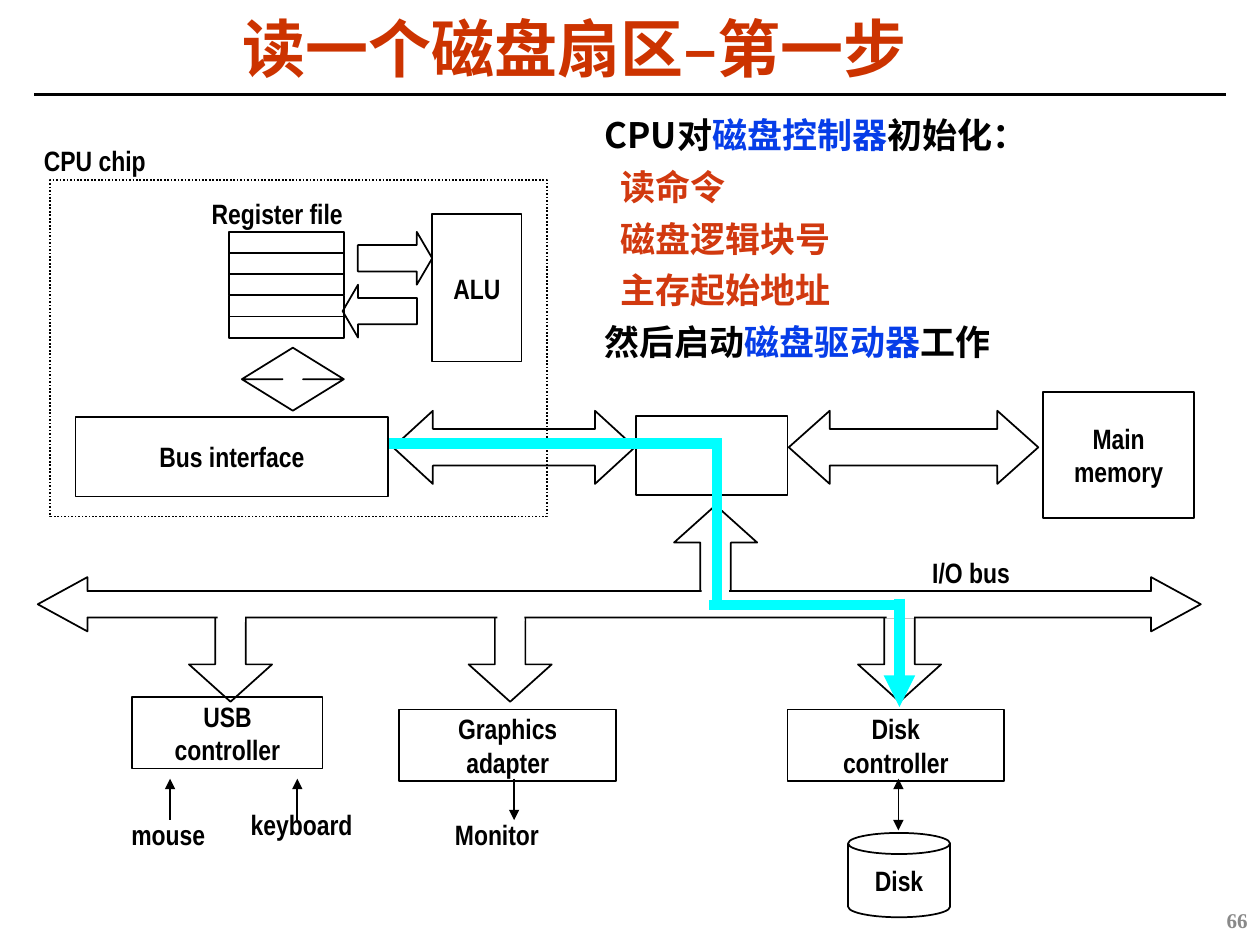
from dataclasses import dataclass
from typing import Optional

import pptx
import pptx.dml.color
import pptx.enum.dml
import pptx.enum.shapes
import pptx.enum.text
import pptx.oxml.ns
import pptx.util
from lxml import etree

Pt = pptx.util.Pt
Preset = pptx.enum.shapes.MSO_SHAPE
Align = pptx.enum.text.PP_ALIGN
Anchor = pptx.enum.text.MSO_ANCHOR
qn = pptx.oxml.ns.qn


@dataclass(frozen=True)
class Theme:
    black: str = "000000"
    white: str = "FFFFFF"
    title_red: str = "CC3300"
    command_red: str = "D1390F"
    device_blue: str = "063DE8"
    signal: str = "00FFFF"
    page_grey: str = "898989"
    label_font: str = "Arial Narrow"
    chinese_font: str = "Noto Sans CJK SC"
    page_font: str = "Times New Roman"
    title_size: float = 36
    note_size: float = 20
    label_size: float = 16
    page_size: float = 12
    outline: float = 1
    rule: float = 1.5
    signal_width: float = 6


THEME = Theme()


@dataclass(frozen=True)
class Box:
    left: float
    top: float
    width: float
    height: float
    text: str = ""
    preset: Preset = Preset.RECTANGLE
    adjustments: tuple[float, ...] = ()
    fill: Optional[str] = None
    line: Optional[str] = THEME.black
    dotted: bool = False


@dataclass(frozen=True)
class Label:
    left: float
    top: float
    width: float
    text: str
    align: Align = Align.CENTER


@dataclass(frozen=True)
class Line:
    x1: float
    y1: float
    x2: float
    y2: float
    head: bool = False
    tail: bool = False
    color: str = THEME.black
    width: float = THEME.outline


def rgb(value: str) -> pptx.dml.color.RGBColor:
    return pptx.dml.color.RGBColor.from_string(value)


def style(paragraph, face: str, size: float, color: str, align: Align) -> None:
    paragraph.alignment = align
    font = paragraph.font
    font.name, font.size, font.bold = face, Pt(size), True
    font.color.rgb = rgb(color)
    defaults = paragraph._p.pPr.find(qn("a:defRPr"))
    etree.SubElement(defaults, qn("a:ea")).set("typeface", face)


def write_lines(frame, text: str, align: Align) -> None:
    frame.word_wrap = False
    frame.vertical_anchor = Anchor.MIDDLE
    frame.text = text
    for paragraph in frame.paragraphs:
        style(paragraph, THEME.label_font, THEME.label_size, THEME.black, align)


def draw_box(slide, box: Box) -> None:
    shape = slide.shapes.add_shape(
        box.preset, Pt(box.left), Pt(box.top), Pt(box.width), Pt(box.height))
    shape.shadow.inherit = False
    for index, value in enumerate(box.adjustments):
        shape.adjustments[index] = value
    if box.fill:
        shape.fill.solid()
        shape.fill.fore_color.rgb = rgb(box.fill)
    else:
        shape.fill.background()
    if box.line:
        shape.line.color.rgb = rgb(box.line)
        shape.line.width = Pt(THEME.outline)
    else:
        shape.line.fill.background()
    if box.dotted:
        shape.line.dash_style = pptx.enum.dml.MSO_LINE.ROUND_DOT
    if box.text:
        write_lines(shape.text_frame, box.text, Align.CENTER)


def draw_label(slide, label: Label) -> None:
    area = slide.shapes.add_textbox(
        Pt(label.left), Pt(label.top), Pt(label.width), Pt(26.6))
    write_lines(area.text_frame, label.text, label.align)


def draw_line(slide, line: Line) -> None:
    connector = slide.shapes.add_connector(
        pptx.enum.shapes.MSO_CONNECTOR.STRAIGHT,
        Pt(line.x1), Pt(line.y1), Pt(line.x2), Pt(line.y2))
    connector.line.color.rgb = rgb(line.color)
    connector.line.width = Pt(line.width)
    properties = connector._element.spPr
    outline = properties.find(qn("a:ln"))
    for tag, wanted in (("a:headEnd", line.head), ("a:tailEnd", line.tail)):
        if wanted:
            etree.SubElement(outline, qn(tag)).set("type", "triangle")
    etree.SubElement(properties, qn("a:effectLst"))


def draw_heading(slide, box: Box, face: str, size: float, color: str,
                 align: Align, spacing: float = 1) -> None:
    frame = slide.shapes.add_textbox(
        Pt(box.left), Pt(box.top), Pt(box.width), Pt(box.height)).text_frame
    frame.word_wrap = True
    frame.vertical_anchor = Anchor.MIDDLE
    frame.text = box.text
    frame.paragraphs[0].line_spacing = spacing
    style(frame.paragraphs[0], face, size, color, align)


def draw_notes(slide) -> None:
    black, blue, red = THEME.black, THEME.device_blue, THEME.command_red
    notes = [
        (0, [("CPU对", black), ("磁盘控制器", blue), ("初始化：", black)]),
        (9, [("读命令", red)]),
        (9, [("磁盘逻辑块号", red)]),
        (9, [("主存起始地址", red)]),
        (0, [("然后启动", black), ("磁盘驱动器", blue), ("工作", black)]),
    ]
    frame = slide.shapes.add_textbox(
        Pt(338.4), Pt(57.6), Pt(317.5), Pt(154.8)).text_frame
    frame.word_wrap = True
    for index, (indent, pieces) in enumerate(notes):
        paragraph = frame.add_paragraph() if index else frame.paragraphs[0]
        paragraph.line_spacing = 1.15
        paragraph.space_before = Pt(2 if index else 0)
        paragraph._p.get_or_add_pPr().set("marL", str(Pt(indent)))
        style(paragraph, THEME.chinese_font, THEME.note_size, pieces[0][1], Align.LEFT)
        for text, color in pieces:
            run = paragraph.add_run()
            run.text = text
            run.font.color.rgb = rgb(color)


def signal(x1: float, y1: float, x2: float, y2: float, tail: bool = False) -> Line:
    return Line(x1, y1, x2, y2, tail=tail, color=THEME.signal, width=THEME.signal_width)


def mask(left: float, top: float) -> Box:
    return Box(left, top, 15.5, 12.2, fill=THEME.white, line=None)


BRANCH = (0.367, 0.449)
REGISTER_ARROW = (0.5, 0.292)
REGISTER_HEIGHT = 12.1

PARTS = [
    Line(19.5, 54, 700.5, 54, width=THEME.rule),
    Box(596, 224, 86.5, 72, "Main\nmemory"),
    Box(450.7, 234.7, 142.6, 41.8, preset=Preset.LEFT_RIGHT_ARROW, adjustments=(0.5, 0.56)),
    Box(363.6, 237.6, 86.4, 45.4),
    Box(224.6, 234.7, 138.2, 41.8, preset=Preset.LEFT_RIGHT_ARROW, adjustments=(0.5, 0.545)),
    *(Box(131, 132.5 + row * REGISTER_HEIGHT, 65.5, REGISTER_HEIGHT) for row in range(5)),
    Box(204.5, 132.5, 42.5, 30.2, preset=Preset.RIGHT_ARROW, adjustments=REGISTER_ARROW),
    Box(195.8, 162.7, 42.5, 30.2, preset=Preset.LEFT_ARROW, adjustments=REGISTER_ARROW),
    Box(247, 122.4, 51, 84.2, "ALU"),
    Label(113.8, 108.7, 89.3, "Register file"),
    Box(138.2, 198.7, 58.3, 36, preset=Preset.UP_DOWN_ARROW, adjustments=(0.5, 0.2)),
    Box(28.8, 103, 283.7, 192.2, dotted=True),
    Label(18, 78.5, 72.7, "CPU chip", Align.LEFT),
    Box(385.2, 288.7, 47.5, 54, preset=Preset.UP_ARROW, adjustments=BRANCH),
    *(Box(left, 347, 47.5, 54, preset=Preset.DOWN_ARROW, adjustments=BRANCH)
      for left in (490.3, 267.8, 108)),
    Box(450, 405.4, 123.8, 41, "Disk\ncontroller"),
    Box(228.2, 405.4, 123.8, 41, "Graphics\nadapter"),
    Box(75.6, 398.2, 108.7, 41, "USB\ncontroller"),
    Line(97.2, 445, 97.2, 468.7, head=True),
    Line(169.9, 445, 169.9, 468.7, head=True),
    Label(67.7, 463.7, 56.9, "mouse"),
    Label(136, 457.9, 72.7, "keyboard"),
    Line(293.8, 445, 293.8, 468.7, tail=True),
    Label(252.7, 463.7, 62.6, "Monitor"),
    Line(513.4, 445, 513.4, 474.5, head=True, tail=True),
    Box(484.6, 476, 58.3, 48.2, "Disk", Preset.CAN, (0.25,)),
    Box(21.6, 329.8, 664.6, 31, preset=Preset.LEFT_RIGHT_ARROW,
        adjustments=(0.486, 0.915), fill=THEME.white),
    mask(124.4, 343.4),
    mask(284.2, 342.7),
    mask(506.7, 341.3),
    Label(525.6, 314, 59, "I/O bus", Align.LEFT),
    mask(401, 337),
    signal(221, 253.4, 412.6, 253.4),
    signal(409.7, 253.4, 409.7, 343.4),
    signal(405.4, 345.6, 513.4, 345.6),
    signal(514, 342, 514, 404, tail=True),
    Box(43.2, 238.3, 178.6, 45.4, "Bus interface"),
]


def main() -> None:
    presentation = pptx.Presentation()
    presentation.slide_width, presentation.slide_height = Pt(720), Pt(540)
    slide = presentation.slides.add_slide(presentation.slide_layouts[6])
    draw_heading(slide, Box(29.5, 8, 597.5, 44.5, "读一个磁盘扇区–第一步"),
                 THEME.chinese_font, THEME.title_size, THEME.title_red, Align.CENTER, 0.87)
    painters = {Box: draw_box, Label: draw_label, Line: draw_line}
    for part in PARTS:
        painters[type(part)](slide, part)
    draw_notes(slide)
    draw_heading(slide, Box(558, 511.2, 162, 28.8, "66"),
                 THEME.page_font, THEME.page_size, THEME.page_grey, Align.RIGHT)
    presentation.save("out.pptx")


if __name__ == "__main__":
    main()
